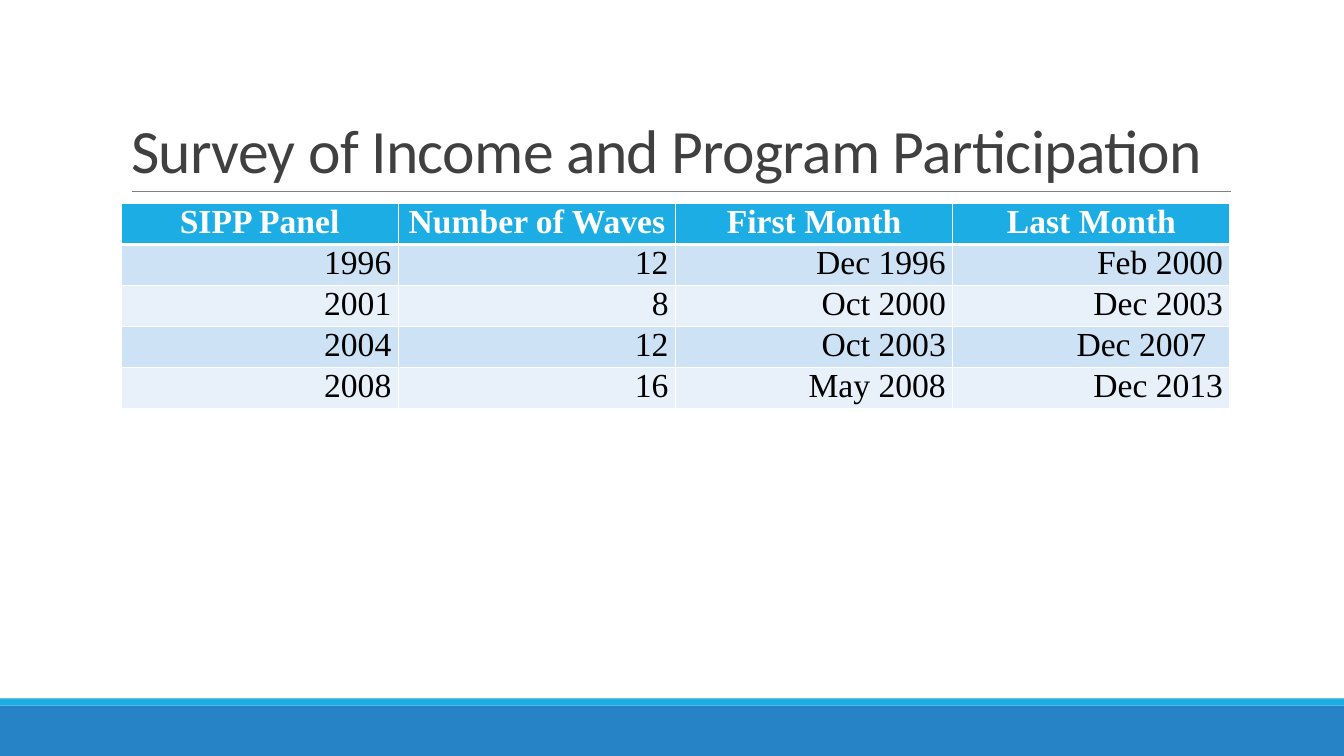
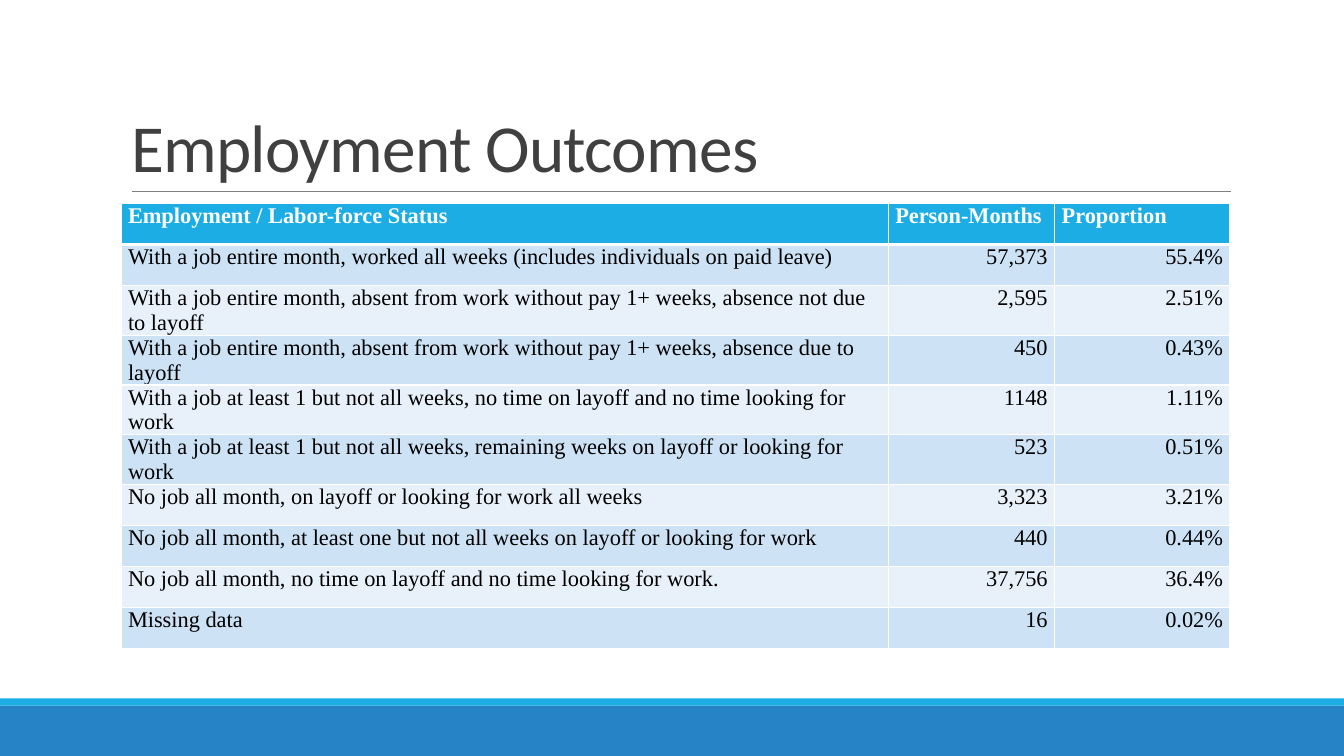
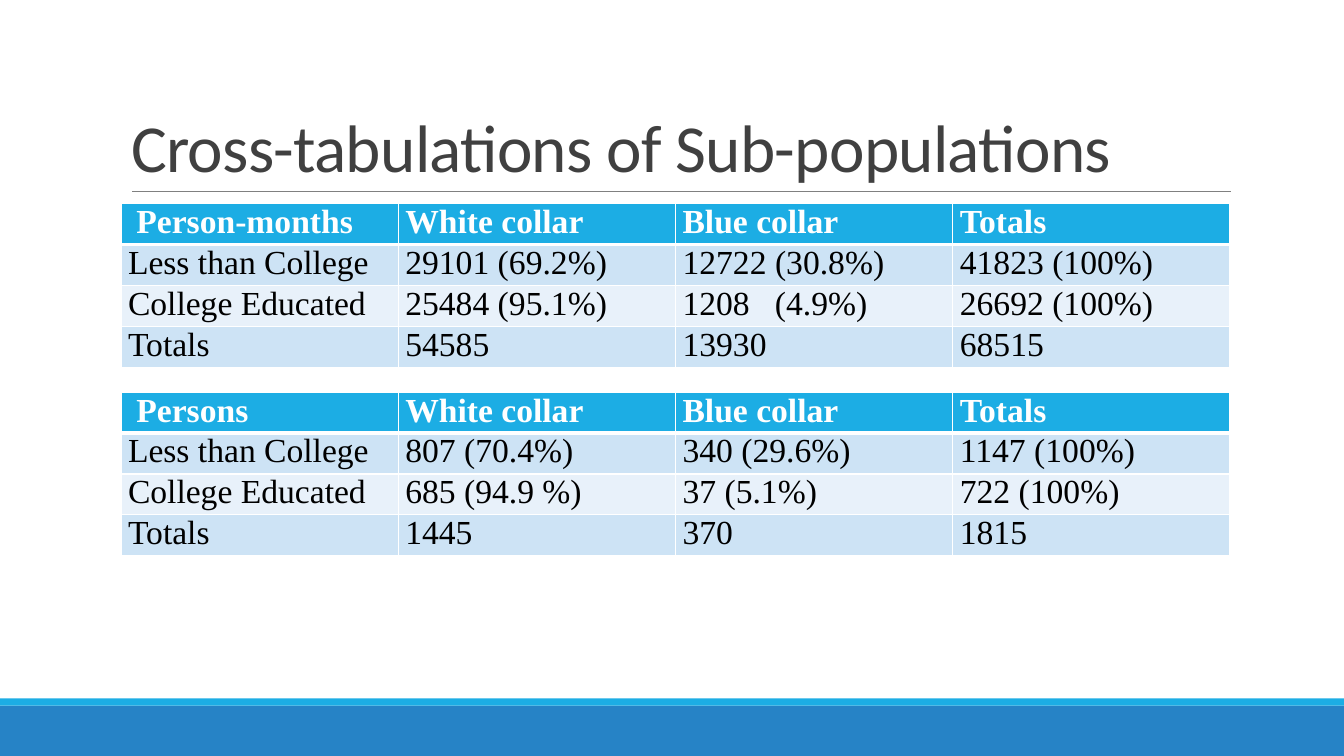
from dataclasses import dataclass

from lxml.etree import SubElement
from pptx import Presentation
from pptx.dml.color import RGBColor
from pptx.enum.shapes import MSO_CONNECTOR, MSO_SHAPE
from pptx.enum.text import MSO_ANCHOR, MSO_AUTO_SIZE, PP_ALIGN
from pptx.oxml.ns import qn
from pptx.util import Inches, Pt

LEFT, CENTER, RIGHT = PP_ALIGN.LEFT, PP_ALIGN.CENTER, PP_ALIGN.RIGHT


@dataclass(frozen=True)
class Theme:
    title_font: str = "Calibri"
    table_font: str = "Times New Roman"
    title_color: str = "404040"
    rule_color: str = "808080"
    footer_color: str = "2683C6"
    accent: str = "1CADE4"
    header_text: str = "FFFFFF"
    body_text: str = "000000"
    border: str = "FFFFFF"
    stripes: tuple = ("CDE3F5", "E8F1FA")
    title_size: int = 48
    long_title_size: int = 44
    table_size: int = 24
    small_table_size: int = 16
    thin_border: int = 1
    header_border: int = 3


class Deck:
    left, width = Inches(1.2), Inches(11)
    table_top = Inches(2.02)
    row_height = Inches(2.03) // 5

    def __init__(self, theme):
        self.theme = theme
        self.presentation = Presentation()
        self.presentation.slide_width = Inches(13.33)
        self.presentation.slide_height = Inches(7.5)

    def add_slide(self, title, title_size):
        layout = self.presentation.slide_layouts[5]
        self.slide = self.presentation.slides.add_slide(layout)
        self.band(7, 0.5, self.theme.footer_color)
        self.band(6.93, 0.07, self.theme.accent)
        self.title_rule()
        self.title(title, title_size)

    def band(self, top, height, color):
        band = self.slide.shapes.add_shape(
            MSO_SHAPE.RECTANGLE, 0, Inches(top),
            self.presentation.slide_width, Inches(height))
        band.shadow.inherit = False
        band.fill.solid()
        band.fill.fore_color.rgb = RGBColor.from_string(color)
        band.line.fill.background()

    def title_rule(self):
        rule = self.slide.shapes.add_connector(
            MSO_CONNECTOR.STRAIGHT,
            Inches(1.31), Inches(1.9), Inches(12.21), Inches(1.9))
        rule.line.color.rgb = RGBColor.from_string(self.theme.rule_color)
        rule.line.width = Pt(0.5)
        SubElement(rule._element.spPr, qn("a:effectLst"))

    def title(self, text, size):
        title = self.slide.shapes.title
        title.left, title.top = self.left, Inches(0.31)
        title.width, title.height = self.width, Inches(1.59)
        frame = title.text_frame
        frame.text = text
        frame.word_wrap = True
        frame.auto_size = MSO_AUTO_SIZE.NONE
        frame.vertical_anchor = MSO_ANCHOR.BOTTOM
        paragraph = frame.paragraphs[0]
        paragraph.alignment = LEFT
        paragraph.line_spacing = 0.85
        run = paragraph.runs[0]
        self.style_font(run.font, self.theme.title_font, size, self.theme.title_color)
        run._r.get_or_add_rPr().set("spc", "-50")

    def table(self, rows, columns, size, header_align, body_align, top=table_top):
        table = self.slide.shapes.add_table(
            len(rows), len(columns), self.left, top,
            self.width, self.row_height * len(rows)).table
        for column, width in zip(table.columns, columns):
            column.width = Inches(width)
        for row_index, values in enumerate(rows):
            table.rows[row_index].height = self.row_height
            aligns = body_align if row_index else header_align
            for column_index, (value, align) in enumerate(zip(values, aligns)):
                self.cell(table.cell(row_index, column_index), value, align, size, row_index)

    def cell(self, cell, value, align, size, row_index):
        theme = self.theme
        is_header = row_index == 0
        cell.margin_left = cell.margin_right = Inches(0.07)
        cell.margin_top = cell.margin_bottom = 0
        self.borders(cell, row_index)
        cell.fill.solid()
        fill = theme.accent if is_header else theme.stripes[(row_index - 1) % 2]
        cell.fill.fore_color.rgb = RGBColor.from_string(fill)
        paragraph = cell.text_frame.paragraphs[0]
        paragraph.text = value
        paragraph.alignment = align
        color = theme.header_text if is_header else theme.body_text
        self.style_font(paragraph.runs[0].font, theme.table_font, size, color, is_header)

    def borders(self, cell, row_index):
        thin, thick = self.theme.thin_border, self.theme.header_border
        widths = {"L": thin, "R": thin,
                  "T": thick if row_index == 1 else thin,
                  "B": thick if row_index == 0 else thin}
        properties = cell._tc.get_or_add_tcPr()
        for side, width in widths.items():
            line = SubElement(properties, qn(f"a:ln{side}"), w=str(Pt(width)))
            fill = SubElement(line, qn("a:solidFill"))
            SubElement(fill, qn("a:srgbClr"), val=self.theme.border)

    @staticmethod
    def style_font(font, name, size, color, bold=False):
        font.name = name
        font.size = Pt(size)
        font.bold = bold
        font.color.rgb = RGBColor.from_string(color)


PANELS = [
    ("SIPP Panel", "Number of Waves", "First Month", "Last Month"),
    ("1996", "12", "Dec 1996", "Feb 2000"),
    ("2001", "8", "Oct 2000", "Dec 2003"),
    ("2004", "12", "Oct 2003", "Dec 2007  "),
    ("2008", "16", "May 2008", "Dec 2013"),
]

OUTCOMES = [
    ("Employment / Labor-force Status", "Person-Months", "Proportion"),
    ("With a job entire month, worked all weeks (includes individuals on paid leave)",
     "57,373", "55.4%"),
    ("With a job entire month, absent from work without pay 1+ weeks, absence not due to layoff",
     "2,595", "2.51%"),
    ("With a job entire month, absent from work without pay 1+ weeks, absence due to layoff",
     "450", "0.43%"),
    ("With a job at least 1 but not all weeks, no time on layoff and no time looking for work",
     "1148", "1.11%"),
    ("With a job at least 1 but not all weeks, remaining weeks on layoff or looking for work",
     "523", "0.51%"),
    ("No job all month, on layoff or looking for work all weeks", "3,323", "3.21%"),
    ("No job all month, at least one but not all weeks on layoff or looking for work",
     "440", "0.44%"),
    ("No job all month, no time on layoff and no time looking for work.", "37,756", "36.4%"),
    ("Missing data", "16", "0.02%"),
]

COLLARS = ("White collar", "Blue collar", "Totals")
PERSON_MONTHS = [
    (" Person-months", *COLLARS),
    ("Less than College", "29101 (69.2%)", "12722 (30.8%)", "41823 (100%)"),
    ("College Educated", "25484 (95.1%)", "1208   (4.9%)", "26692 (100%)"),
    ("Totals", "54585", "13930", "68515"),
]
PERSONS = [
    (" Persons", *COLLARS),
    ("Less than College", "807 (70.4%)", "340 (29.6%)", "1147 (100%)"),
    ("College Educated", "685 (94.9 %)", "37 (5.1%)", "722 (100%)"),
    ("Totals", "1445", "370", "1815"),
]


def main():
    theme = Theme()
    deck = Deck(theme)
    quarters = [2.75] * 4

    deck.add_slide("Survey of Income and Program Participation", theme.long_title_size)
    deck.table(PANELS, quarters, theme.table_size, [CENTER] * 4, [RIGHT] * 4)

    deck.add_slide("Employment Outcomes", theme.title_size)
    deck.table(OUTCOMES, [7.61, 1.65, 1.74], theme.small_table_size,
               [LEFT] * 3, [LEFT, RIGHT, RIGHT])

    deck.add_slide("Cross-tabulations of Sub-populations", theme.title_size)
    for crosstab, top in ((PERSON_MONTHS, deck.table_top), (PERSONS, Inches(3.89))):
        deck.table(crosstab, quarters, theme.table_size, [LEFT] * 4, [LEFT] * 4, top)

    deck.presentation.save("out.pptx")


if __name__ == "__main__":
    main()
